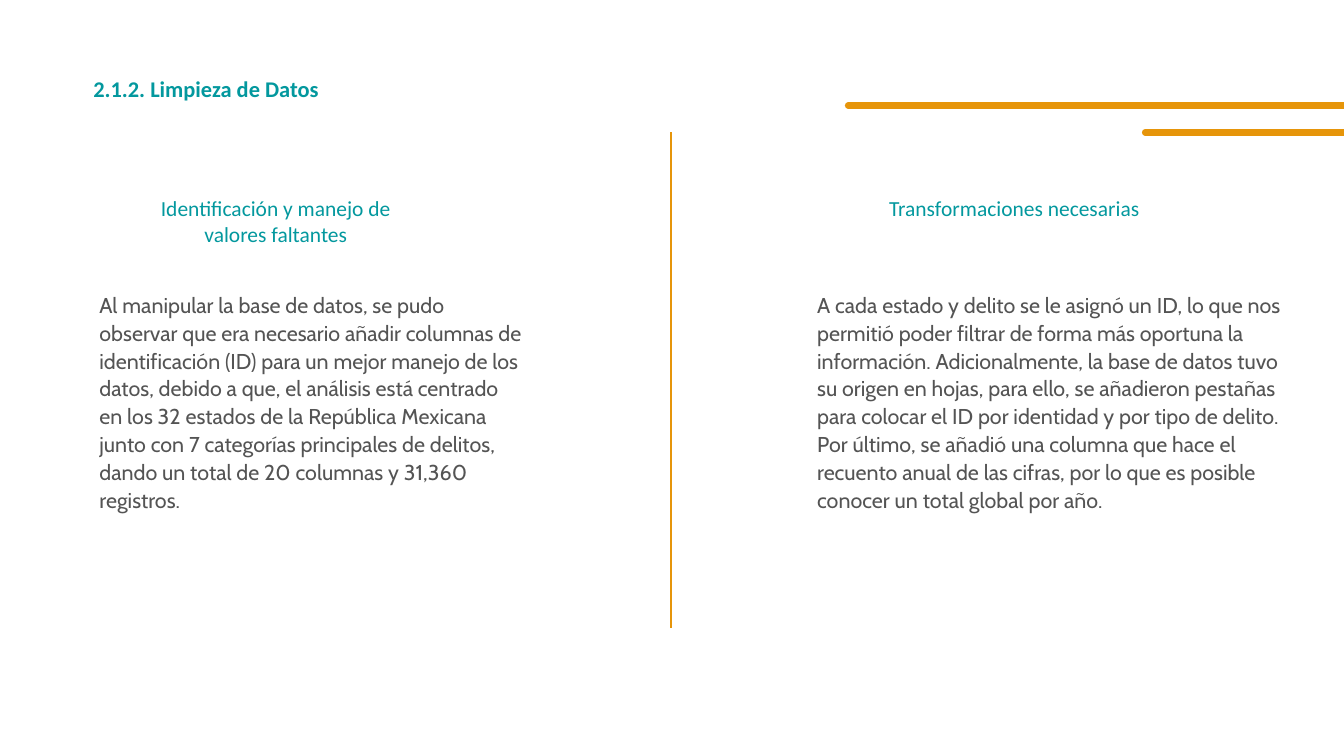
from pptx import Presentation
from pptx.dml.color import RGBColor
from pptx.enum.shapes import MSO_CONNECTOR
from pptx.enum.text import MSO_ANCHOR, MSO_AUTO_SIZE, PP_ALIGN
from pptx.oxml.ns import qn
from pptx.util import Inches, Pt

TEAL, GRAY, ORANGE = "03989E", "545454", "E6950A"
SLIDE_WIDTH, SLIDE_HEIGHT = 20, 11.25

TITLE = "2.1.2. Limpieza de Datos"
# heading, heading left, body, body left, body width, body height
COLUMNS = [
    ("Identificación y manejo de valores faltantes", 2.16,
     "Al manipular la base de datos, se pudo observar que era necesario añadir "
     "columnas de identificación (ID) para un mejor manejo de los datos, debido a "
     "que, el análisis está centrado en los 32 estados de la República Mexicana "
     "junto con 7 categorías principales de delitos, dando un total de 20 columnas "
     "y 31,360 registros.", 1.48, 6.33, 3.65),
    ("Transformaciones necesarias", 13.15,
     "A cada estado y delito se le asignó un ID, lo que nos permitió poder filtrar "
     "de forma más oportuna la información. Adicionalmente, la base de datos tuvo "
     "su origen en hojas, para ello, se añadieron pestañas para colocar el ID por "
     "identidad y por tipo de delito. Por último, se añadió una columna que hace el "
     "recuento anual de las cifras, por lo que es posible conocer un total global "
     "por año.", 12.16, 7.18, 3.24),
]
# start x, start y, end x, end y, width in points, line cap
LINES = [
    (9.98, 1.97, 9.98, 9.35, 2.25, "flat"),
    (17.04, 1.97, SLIDE_WIDTH, 1.97, 6.75, "rnd"),
    (12.62, 1.57, SLIDE_WIDTH, 1.57, 6.75, "rnd"),
]


def color(hex_code):
    return RGBColor.from_string(hex_code)


def write(box, text, size, spacing, font_name, hex_code, align, bold=False):
    frame = box.text_frame
    frame.text = text
    frame.word_wrap = True
    frame.auto_size = MSO_AUTO_SIZE.NONE
    frame.vertical_anchor = MSO_ANCHOR.TOP
    frame.margin_left = frame.margin_right = 0
    frame.margin_top = frame.margin_bottom = 0
    para = frame.paragraphs[0]
    para.alignment = align
    para.line_spacing = Pt(spacing)
    font = para.runs[0].font
    font.name, font.size, font.bold = font_name, Pt(size), bold
    font.color.rgb = color(hex_code)


def add_line(slide, x1, y1, x2, y2, width, cap):
    line = slide.shapes.add_connector(
        MSO_CONNECTOR.STRAIGHT, Inches(x1), Inches(y1), Inches(x2), Inches(y2))
    line.line.color.rgb = color(ORANGE)
    line.line.width = Pt(width)
    properties = line.line._get_or_add_ln()
    properties.set("cap", cap)
    properties.addnext(properties.makeelement(qn("a:effectLst"), {}))


def main():
    deck = Presentation()
    deck.slide_width, deck.slide_height = Inches(SLIDE_WIDTH), Inches(SLIDE_HEIGHT)
    slide = deck.slides.add_slide(deck.slide_layouts[5])

    title = slide.shapes.title
    title.left, title.top = Inches(1.12), Inches(1.12)
    title.width, title.height = Inches(3.89), Inches(0.4)
    write(title, TITLE, 24, 28.8, "Calibri", TEAL, PP_ALIGN.CENTER, bold=True)

    for heading, heading_left, body, body_left, width, height in COLUMNS:
        box = slide.shapes.add_textbox(
            Inches(heading_left), Inches(2.91), Inches(3.89), Inches(0.76))
        write(box, heading, 23, 27.6, "Calibri", TEAL, PP_ALIGN.CENTER)
        box = slide.shapes.add_textbox(
            Inches(body_left), Inches(4.31), Inches(width), Inches(height))
        write(box, body, 23, 29.9, "Cabin", GRAY, PP_ALIGN.LEFT)

    for line in LINES:
        add_line(slide, *line)

    deck.save("out.pptx")


if __name__ == "__main__":
    main()
